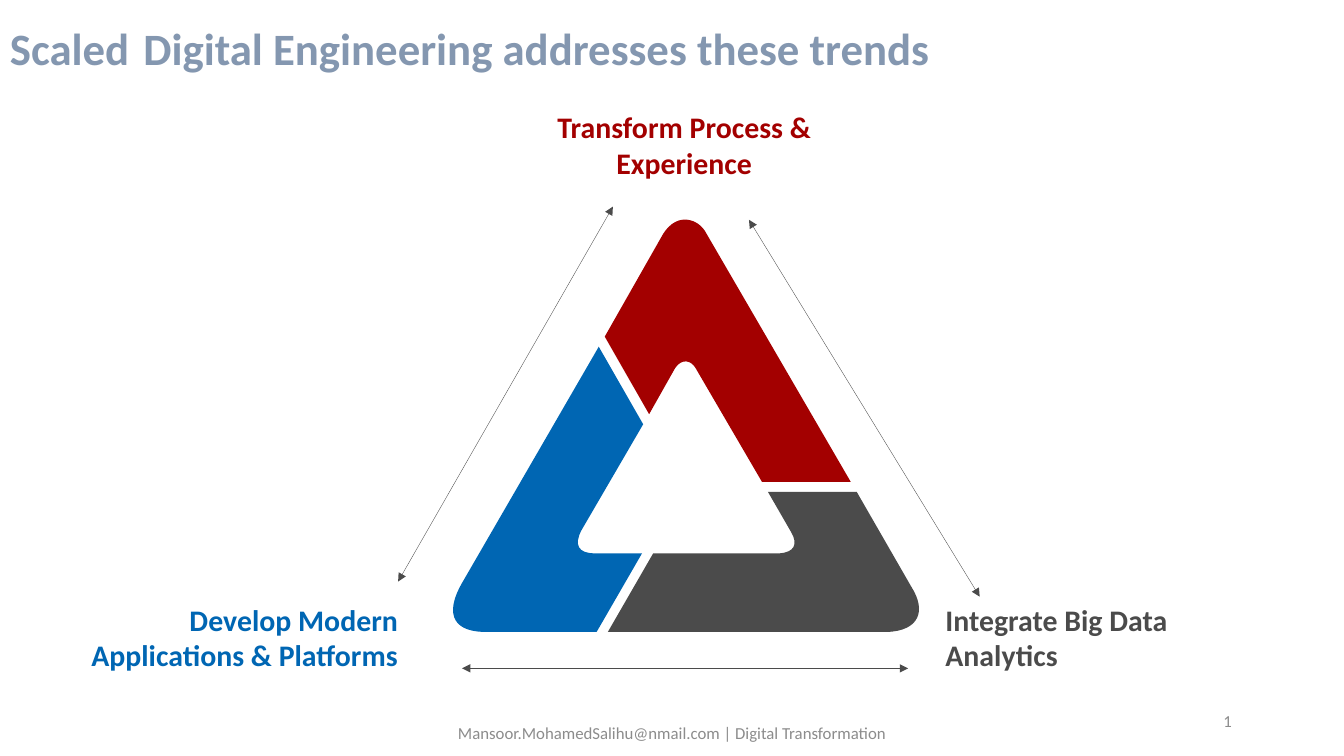
from lxml import etree
from pptx import Presentation
from pptx.dml.color import RGBColor
from pptx.enum import shapes, text
from pptx.oxml.ns import qn
from pptx.util import Pt

COLORS = {"title": "8497B0", "space": "000000", "red": "A30000", "blue": "0066B3",
          "gray": "4B4B4B", "footer": "8C8C8C"}
ALIGN = {"l": text.PP_ALIGN.LEFT, "c": text.PP_ALIGN.CENTER, "r": text.PP_ALIGN.RIGHT}
TOP, MIDDLE = text.MSO_ANCHOR.TOP, text.MSO_ANCHOR.MIDDLE

TITLE = [("Scaled", 32, True, "title"), (" ", 44, False, "space"),
         ("Digital Engineering addresses these trends", 32, True, "title")]
TITLE_BOX = (0, -2.2, 960, 69)

LABEL_SIZE = (257.8, 59)
LABELS = [
    ("Transform Process & Experience", "red", "c", (362.9, 74.2), 13),
    ("Integrate Big Data Analytics", "gray", "l", (668.2, 425.9), 14),
    ("Develop Modern Applications & Platforms", "blue", "r", (33.8, 425.9), 7.2),
]
FOOTERS = [
    ("Mansoor.MohamedSalihu@nmail.com | Digital Transformation", "c", (318.2, 509, 324, 28.8)),
    ("1", "r", (671, 500.7, 216, 28.8)),
]

SEGMENTS = {
    "red": [(491, 157), (496.8, 157.7, 501.8, 161.3, 504.7, 167), (607.7, 344.2),
            (544.3, 344.2), (496.8, 262.8), (493.9, 257.8, 487.4, 255.6, 482.4, 262.8),
            (463.7, 295.9), (432, 240.5), (473.8, 167),
            (478.8, 159.1, 485.3, 156.2, 491, 157)],
    "blue": [(427.7, 247.7), (459.4, 303.1), (415.4, 378.7),
             (409.7, 389.5, 413.3, 395.3, 424.8, 395.3), (458.6, 395.3),
             (426.2, 451.4), (349.2, 451.4), (324.7, 452.2, 316.8, 439.9, 329.8, 416.9)],
    "gray": [(548.6, 351.4), (612, 351.4), (650.9, 419),
             (662.4, 437, 655.9, 450.7, 633.6, 451.4), (434.2, 451.4),
             (466.6, 395.3), (556.6, 395.3), (567.4, 394.6, 570.2, 388.8, 565.2, 380.2)],
}
ARROWS = [(330, 477.4, 648.7, 477.4), (284.4, 415.4, 437.8, 147.6),
          (699.8, 426.2, 535, 157)]


def rgb(name):
    return RGBColor.from_string(COLORS[name])


def add_text(s, box, runs, align, anchor, line_spacing=1.0, margin_right=7.2):
    sp = s.shapes.add_textbox(*map(Pt, box))
    tf = sp.text_frame
    for key, value in {"word_wrap": True, "vertical_anchor": anchor,
                       "margin_right": Pt(margin_right)}.items():
        setattr(tf, key, value)
    p = tf.paragraphs[0]
    p.alignment, p.line_spacing = ALIGN[align], line_spacing
    for words, size, bold, color in runs:
        r = p.add_run()
        r.text = words
        for key, value in {"name": "Calibri", "size": Pt(size), "bold": bold}.items():
            setattr(r.font, key, value)
        r.font.color.rgb = rgb(color)


def add_segment(s, color, segments):
    start, *rest = segments
    builder = s.shapes.build_freeform(*map(Pt, start))
    for seg in rest:
        points = [(Pt(x), Pt(y)) for x, y in zip(seg[::2], seg[1::2])]
        builder.add_line_segments(points, close=seg is rest[-1])
    sp = builder.convert_to_shape()
    steps = iter(list(sp._element.iter(qn("a:lnTo"))))
    for seg in rest:
        first = next(steps)
        if len(seg) == 6:
            first.tag = qn("a:cubicBezTo")
            for extra in (next(steps), next(steps)):
                first.append(extra[0])
                extra.getparent().remove(extra)
    sp.shadow.inherit = False
    sp.fill.solid()
    sp.fill.fore_color.rgb = rgb(color)
    sp.line.fill.background()


def add_arrow(s, ends):
    sp = s.shapes.add_connector(shapes.MSO_CONNECTOR.STRAIGHT, *map(Pt, ends))
    sp.line.width = Pt(0.25)
    sp.line.color.rgb = rgb("gray")
    ln = sp.line._get_or_add_ln()
    for tag in ("a:headEnd", "a:tailEnd"):
        etree.SubElement(ln, qn(tag), type="triangle")
    etree.SubElement(sp._element.spPr, qn("a:effectLst"))


def main():
    """Build the slide with the three-part triangle of trends."""
    prs = Presentation()
    prs.slide_width, prs.slide_height = Pt(960), Pt(540)
    s = prs.slides.add_slide(prs.slide_layouts[6])
    add_text(s, TITLE_BOX, TITLE, "l", MIDDLE, line_spacing=0.9)
    for color, segments in SEGMENTS.items():
        add_segment(s, color, segments)
    for words, color, align, corner, margin in LABELS:
        add_text(s, corner + LABEL_SIZE, [(words, 21.33, True, color)], align, TOP,
                 margin_right=margin)
    for ends in ARROWS:
        add_arrow(s, ends)
    for words, align, box in FOOTERS:
        add_text(s, box, [(words, 12, False, "footer")], align, MIDDLE)
    prs.save("out.pptx")


if __name__ == "__main__":
    main()
